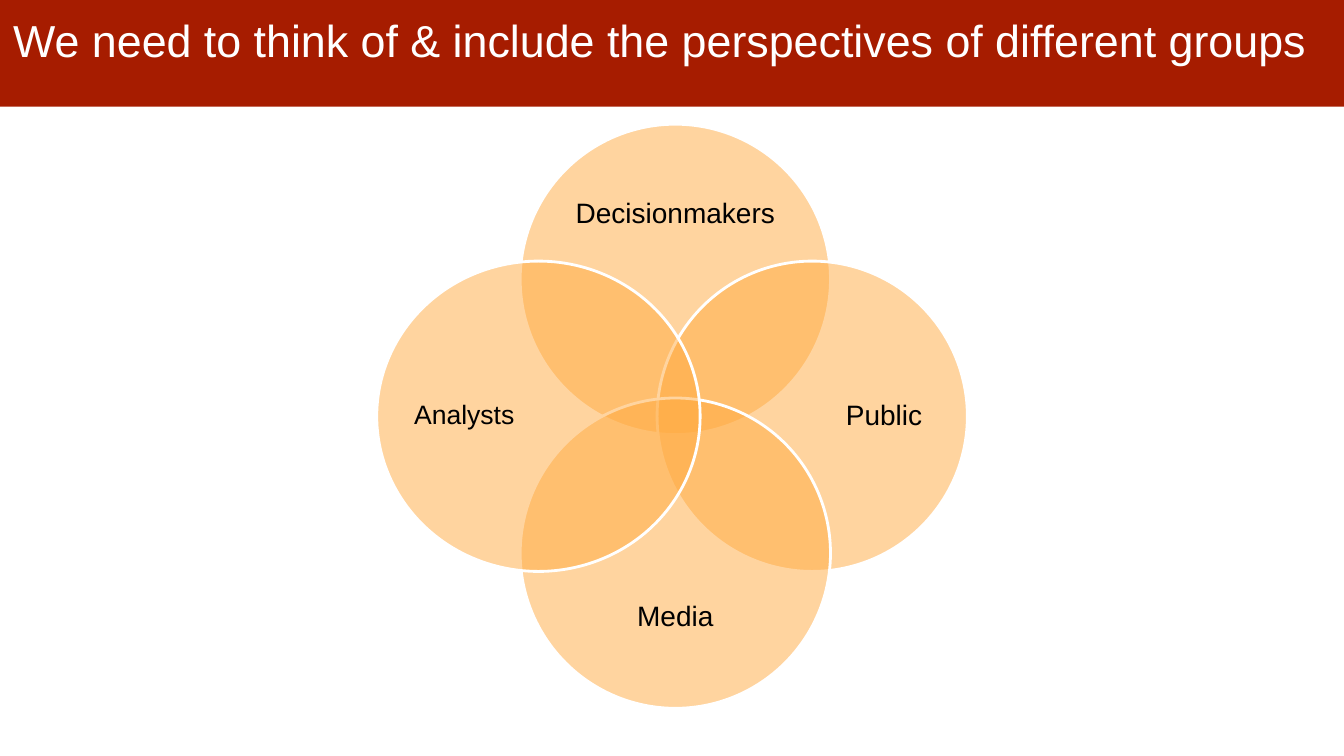
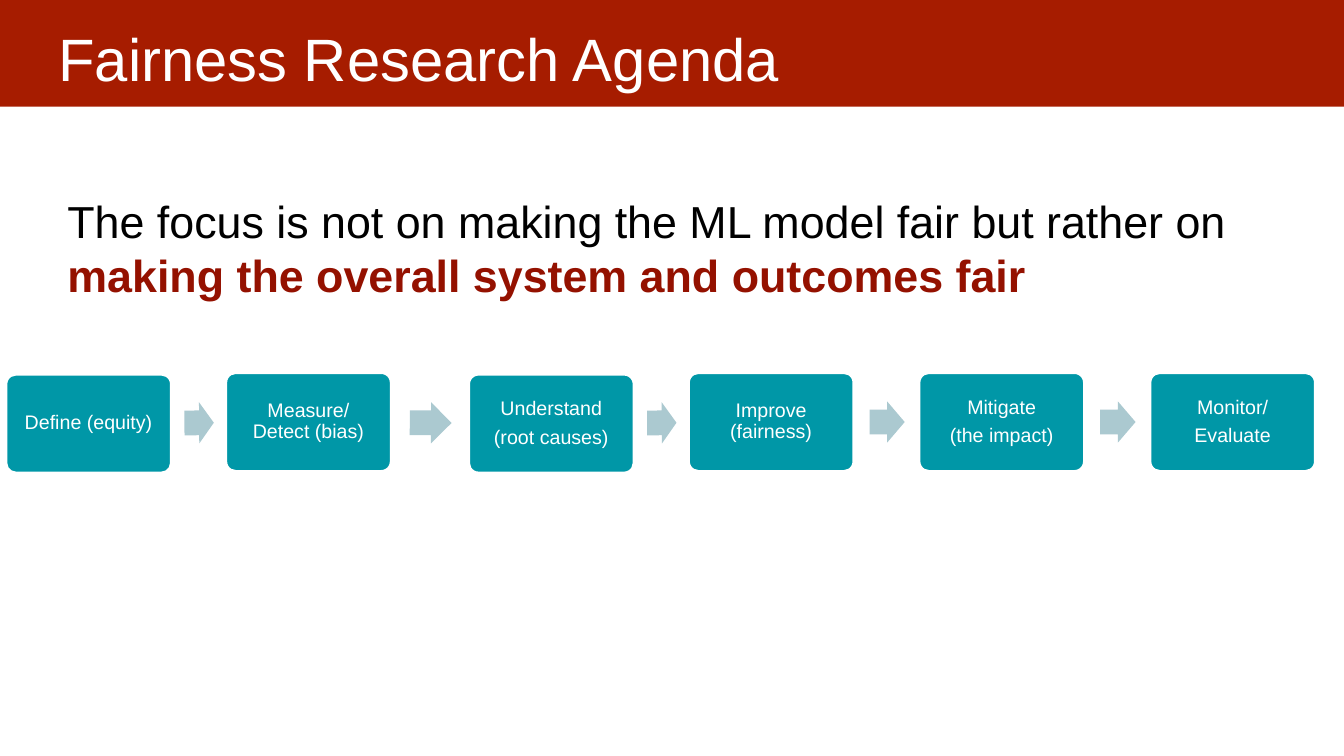
from itertools import pairwise
from math import atan2, degrees

from pptx import Presentation
from pptx.dml.color import RGBColor
from pptx.enum.shapes import MSO_SHAPE as Preset
from pptx.enum.text import MSO_ANCHOR as Anchor, MSO_AUTO_SIZE as AutoSize, PP_ALIGN as Align
from pptx.oxml.ns import qn
from pptx.util import Cm, Pt

COLORS = {
    "band": "A61C00", "circle": "FFAB40", "step": "0097A7", "arrow": "ABC9D0",
    "emphasis": "941100", "white": "FFFFFF", "black": "000000",
}
FONT = "Arial"

PERSPECTIVES_TITLE = "We need to think of & include the perspectives of different groups"
# name, direction from the centre (x, y), circle width, label offset, font size
GROUPS = [
    ("Decisionmakers", (0, -1), 7.82, 5.08, 20),
    ("Public", (1, 0), 7.82, 5.26, 20),
    ("Media", (0, 1), 7.82, 5.08, 20),
    ("Analysts", (-1, 0), 8.15, 5.32, 19),
]
VENN_CENTER = (17.02, 10.49)
CIRCLE_OFFSET, CIRCLE_HEIGHT = 3.45, 7.82
LABEL_LONG, LABEL_SHORT = 6.02, 3.0

AGENDA_TITLE = "Fairness Research Agenda"
FOCUS = [
    ("The focus is not on making the ML model fair but rather on ", "black", False),
    ("making the overall system and outcomes fair", "emphasis", True),
]
# paragraphs, left, top
STEPS = [
    (["Define (equity)"], 0.15, 9.43),
    (["Measure/\vDetect (bias)"], 5.69, 9.39),
    (["Understand", "(root causes)"], 11.81, 9.43),
    (["Improve (fairness)"], 17.35, 9.39),
    (["Mitigate", "(the impact)"], 23.16, 9.39),
    (["Monitor/", "Evaluate"], 28.98, 9.39),
]
STEP_WIDTH, STEP_HEIGHT = 4.17, 2.49
ARROW_HEIGHT = 1.04
ARROW_START, ARROW_SHARE = 0.24, 0.54  # parts of the gap between two steps


def rgb(name):
    return RGBColor.from_string(COLORS[name])


def add_run(paragraph, text, size, color, bold=False):
    # A vertical tab becomes a line break only through the paragraph
    for index, line in enumerate(text.split("\v")):
        if index:
            paragraph.add_line_break()
        run = paragraph.add_run()
        run.text = line
        font = run.font
        font.name, font.size, font.bold = FONT, Pt(size), bold
        font.color.rgb = rgb(color)


def set_margins(frame, margin):
    frame.margin_left = frame.margin_right = Cm(margin)
    frame.margin_top = frame.margin_bottom = Cm(margin)


def fill_centered(frame, paragraphs, size, color, margin):
    frame.word_wrap = True
    frame.vertical_anchor = Anchor.MIDDLE
    set_margins(frame, margin)
    for index, text in enumerate(paragraphs):
        paragraph = frame.add_paragraph() if index else frame.paragraphs[0]
        paragraph.alignment = Align.CENTER
        paragraph.line_spacing = 0.9
        if index:
            paragraph.space_before = Pt(5)
        add_run(paragraph, text, size, color)


def add_preset(slide, preset, box, fill, outlined=False):
    shape = slide.shapes.add_shape(preset, *map(Cm, box))
    shape.shadow.inherit = False
    shape.fill.solid()
    shape.fill.fore_color.rgb = rgb(fill)
    if outlined:
        shape.line.color.rgb = rgb("white")
        shape.line.width = Pt(2)
    else:
        shape.line.fill.background()
    return shape


def centered_box(x, y, width, height):
    return x - width / 2, y - height / 2, width, height


def set_opacity(shape, percent):
    color = shape.fill._xPr.find(qn("a:solidFill"))[0]
    alpha = color.makeelement(qn("a:alpha"), {"val": str(percent * 1000)})
    color.append(alpha)


def add_band_to_layout(slide):
    """Draw the title band and move it to the layout, behind everything."""
    band = add_preset(slide, Preset.RECTANGLE, (-0.05, -0.1, 33.93, 2.79), "band")
    slide.slide_layout.shapes._spTree.insert(2, band._element)


def set_title(slide, text, box, size):
    title = slide.shapes.title
    title.left, title.top, title.width, title.height = map(Cm, box)
    frame = title.text_frame
    frame.word_wrap = True
    frame.auto_size = AutoSize.NONE
    frame.vertical_anchor = Anchor.TOP
    set_margins(frame, 0.33)
    frame.paragraphs[0].alignment = Align.LEFT
    add_run(frame.paragraphs[0], text, size, "white")


def add_venn(slide):
    center_x, center_y = VENN_CENTER
    for name, (dx, dy), width, label_offset, size in GROUPS:
        circle = add_preset(
            slide, Preset.OVAL,
            centered_box(center_x + dx * CIRCLE_OFFSET, center_y + dy * CIRCLE_OFFSET,
                         width, CIRCLE_HEIGHT),
            "circle", outlined=True)
        set_opacity(circle, 50)
        label_size = (LABEL_SHORT, LABEL_LONG) if dx else (LABEL_LONG, LABEL_SHORT)
        label_box = centered_box(center_x + dx * label_offset,
                                 center_y + dy * label_offset, *label_size)
        label = slide.shapes.add_textbox(*map(Cm, label_box))
        fill_centered(label.text_frame, [name], size, "black", 0)


def add_steps(slide):
    for paragraphs, left, top in STEPS:
        step = add_preset(slide, Preset.ROUNDED_RECTANGLE,
                          (left, top, STEP_WIDTH, STEP_HEIGHT), "step", outlined=True)
        step.adjustments[0] = 0.1
        fill_centered(step.text_frame, paragraphs, 14, "white", 0.15)
    for (_, left, top), (_, next_left, next_top) in pairwise(STEPS):
        gap = next_left - left - STEP_WIDTH
        arrow_top = (top + next_top + STEP_HEIGHT - ARROW_HEIGHT) / 2
        arrow_top += (STEP_HEIGHT - ARROW_HEIGHT) / 2 - (STEP_HEIGHT - ARROW_HEIGHT) / 2
        arrow = add_preset(
            slide, Preset.RIGHT_ARROW,
            (left + STEP_WIDTH + gap * ARROW_START, arrow_top,
             gap * ARROW_SHARE, ARROW_HEIGHT), "arrow")
        arrow.adjustments[0], arrow.adjustments[1] = 0.6, 0.5
        arrow.rotation = degrees(atan2(next_top - top, next_left - left))


def add_focus(slide):
    focus = slide.shapes.add_textbox(Cm(1.45), Cm(4.75), Cm(31.67), Cm(3))
    focus.text_frame.word_wrap = True
    for text, color, bold in FOCUS:
        add_run(focus.text_frame.paragraphs[0], text, 32, color, bold)


def main():
    deck = Presentation()
    deck.slide_width, deck.slide_height = Cm(33.87), Cm(19.05)
    title_only = deck.slide_layouts[5]

    perspectives = deck.slides.add_slide(title_only)
    add_band_to_layout(perspectives)
    set_title(perspectives, PERSPECTIVES_TITLE, (0, 0, 33.87, 2.97), 32)
    add_venn(perspectives)

    agenda = deck.slides.add_slide(title_only)
    set_title(agenda, AGENDA_TITLE, (1.14, 0.23, 31.55, 2.11), 42.7)
    add_steps(agenda)
    add_focus(agenda)

    deck.save("out.pptx")


if __name__ == "__main__":
    main()
